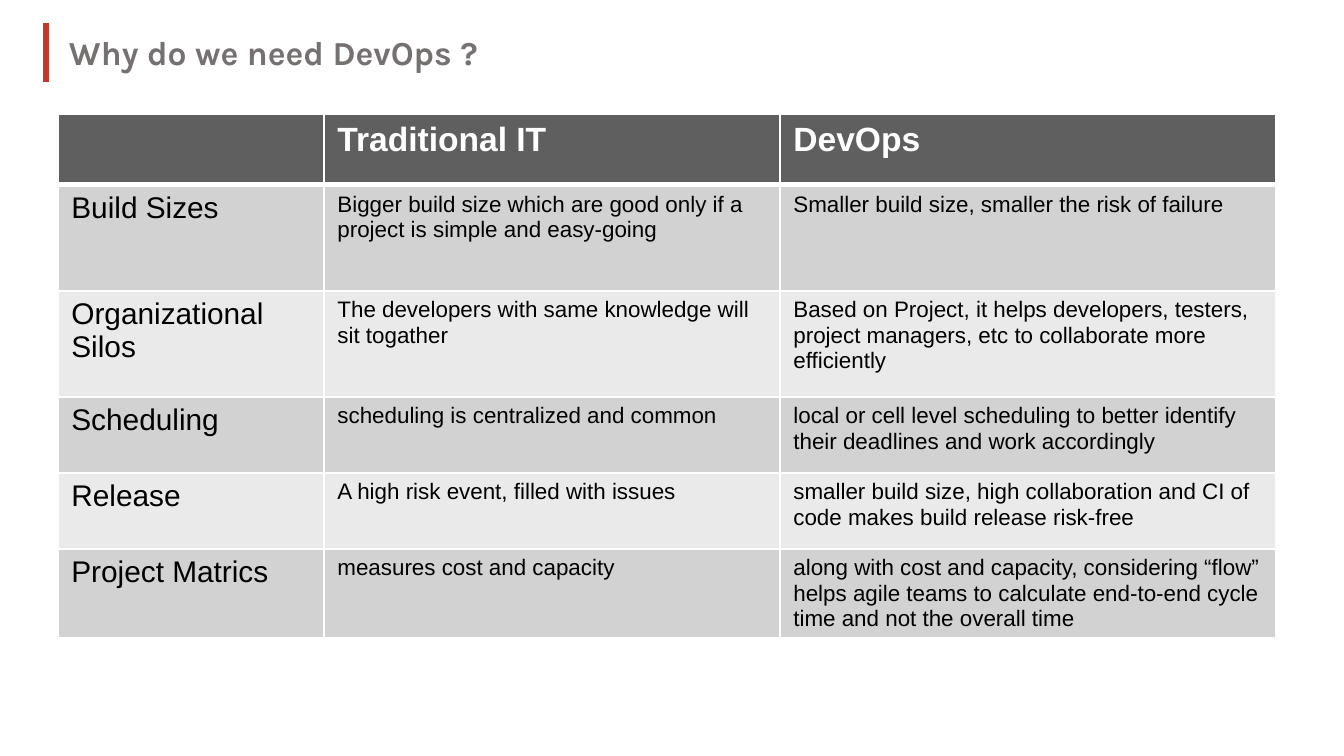
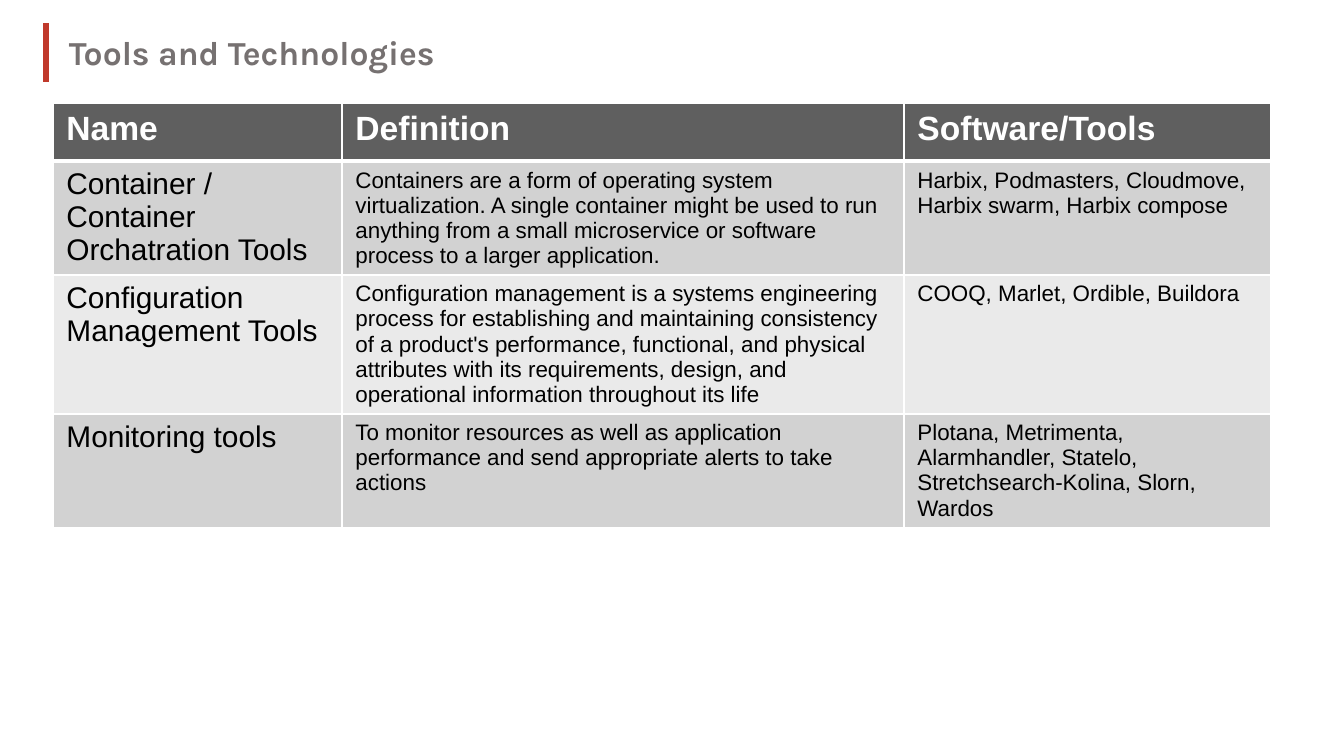
import pptx
import pptx.dml.color
import pptx.enum.shapes
import pptx.enum.text
import pptx.util
from lxml import etree

SCALE = 914400 / 134.4
NS = "http://schemas.openxmlformats.org/drawingml/2006/main"
COLORS = {
    "title": "767171",
    "accent": "C0392B",
    "header": "5F5F5F",
    "dark_band": "D2D2D2",
    "light_band": "EAEAEA",
    "white": "FFFFFF",
    "black": "000000",
}

NEEDS = [
    ["", "Traditional IT", "DevOps"],
    ["Build Sizes",
     "Bigger build size which are good only if a project is simple and easy-going",
     "Smaller build size, smaller the risk of failure"],
    ["Organizational Silos",
     "The developers with same knowledge will sit togather",
     "Based on Project, it helps developers, testers, project managers, etc "
     "to collaborate more efficiently"],
    ["Scheduling",
     "scheduling is centralized and common",
     "local or cell level scheduling to better identify their deadlines and work accordingly"],
    ["Release",
     "A high risk event, filled with issues",
     "smaller build size, high collaboration and CI of code makes build release risk-free"],
    ["Project Matrics",
     "measures cost and capacity",
     "along with cost and capacity, considering “flow” helps agile teams "
     "to calculate end-to-end cycle time and not the overall time"],
]

TOOLS = [
    ["Name", "Definition", "Software/Tools"],
    ["Container / Container Orchatration Tools",
     "Containers are a form of operating system virtualization. A single container might be "
     "used to run anything from a small microservice or software process to a larger application.",
     "Harbix, Podmasters, Cloudmove, Harbix swarm, Harbix compose"],
    ["Configuration Management Tools",
     "Configuration management is a systems engineering process for establishing and "
     "maintaining consistency of a product's performance, functional, and physical attributes "
     "with its requirements, design, and operational information throughout its life",
     "COOQ, Marlet, Ordible, Buildora"],
    ["Monitoring tools",
     "To monitor resources as well as application performance and send appropriate alerts "
     "to take actions",
     "Plotana, Metrimenta, Alarmhandler, Statelo, Stretchsearch-Kolina, Slorn, Wardos"],
]


def px(n):
    return pptx.util.Emu(round(n * SCALE))


def rgb(name):
    return pptx.dml.color.RGBColor.from_string(COLORS[name])


def set_text(tf, text, size=12, font="Arial", color="black", bold=False):
    p = tf.paragraphs[0]
    p.alignment = pptx.enum.text.PP_ALIGN.LEFT
    r = p.add_run()
    r.text = text
    r.font.size = pptx.util.Pt(size)
    r.font.name = font
    r.font.bold = bold
    r.font.color.rgb = rgb(color)


def set_borders(cell, top=1, bottom=1):
    tc_pr = cell._tc.get_or_add_tcPr()
    for side, width in (("L", 1), ("R", 1), ("T", top), ("B", bottom)):
        ln = etree.SubElement(tc_pr, f"{{{NS}}}ln{side}", w=str(pptx.util.Pt(width)))
        fill = etree.SubElement(ln, f"{{{NS}}}solidFill")
        etree.SubElement(fill, f"{{{NS}}}srgbClr", val=COLORS["white"])


def add_titled_slide(prs, title):
    s = prs.slides.add_slide(prs.slide_layouts[5])
    sp = s.shapes.title
    sp.left, sp.top, sp.width, sp.height = px(69), px(24), px(1175), px(56)
    tf = sp.text_frame
    tf.word_wrap = True
    tf.auto_size = pptx.enum.text.MSO_AUTO_SIZE.NONE
    tf.vertical_anchor = pptx.enum.text.MSO_ANCHOR.MIDDLE
    tf.margin_left = tf.margin_top = tf.margin_right = tf.margin_bottom = 0
    set_text(tf, title, size=18, font="Karla", color="title", bold=True)

    bar = s.shapes.add_shape(pptx.enum.shapes.MSO_SHAPE.RECTANGLE,
                             px(43), px(23), px(6), px(59))
    bar.shadow.inherit = False
    bar.fill.solid()
    bar.fill.fore_color.rgb = rgb("accent")
    bar.line.fill.background()
    return s


def format_cell(cell, text, row, col):
    header = row == 0
    set_borders(cell, top=3 if row == 1 else 1, bottom=3 if header else 1)
    cell.fill.solid()
    band = "header" if header else "dark_band" if row % 2 else "light_band"
    cell.fill.fore_color.rgb = rgb(band)
    if not text:
        return
    if header:
        set_text(cell.text_frame, text, size=18, color="white", bold=True)
    else:
        set_text(cell.text_frame, text, size=12 if col else 16)


def add_banded_table(s, data, left, top, widths, heights):
    frame = s.shapes.add_table(len(data), len(widths), px(left), px(top),
                               px(sum(widths)), px(sum(heights)))
    table = frame.table
    for column, width in zip(table.columns, widths):
        column.width = px(width)
    for row, height in zip(table.rows, heights):
        row.height = px(height)
    for i, texts in enumerate(data):
        for j, text in enumerate(texts):
            format_cell(table.cell(i, j), text, i, j)


def main():
    prs = pptx.Presentation()
    prs.slide_width, prs.slide_height = px(1344), px(756)

    s = add_titled_slide(prs, "Why do we need DevOps ?")
    add_banded_table(s, NEEDS, 58, 114, [266, 456, 496], [71, 106, 106, 76, 76, 71])

    s = add_titled_slide(prs, "Tools and Technologies")
    add_banded_table(s, TOOLS, 53, 103, [289, 562, 367], [58, 91, 101, 101])

    prs.save("out.pptx")


if __name__ == "__main__":
    main()
